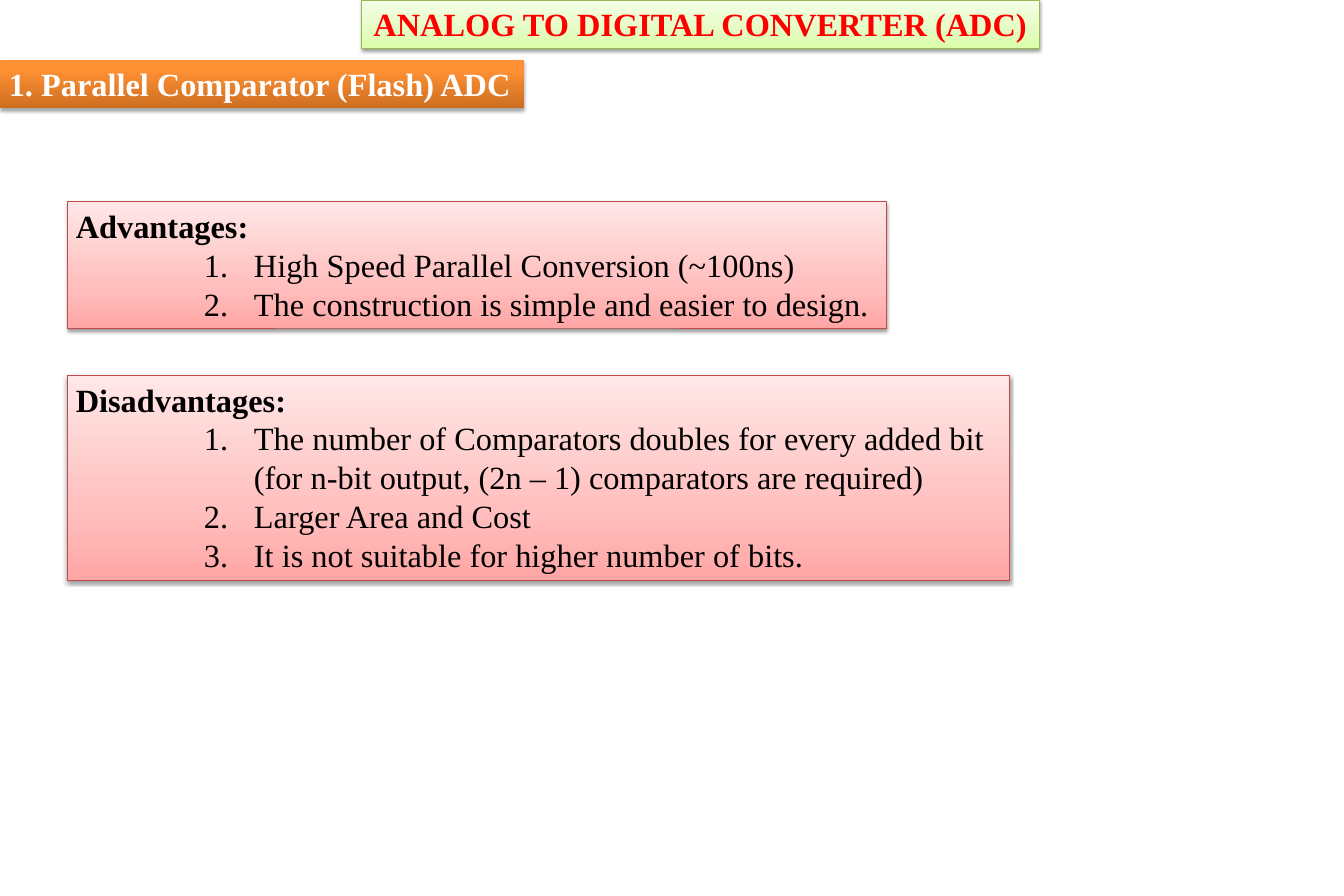
from lxml.etree import SubElement
from pptx import Presentation
from pptx.dml.color import RGBColor as Rgb
from pptx.enum.text import MSO_AUTO_SIZE as AutoSize, PP_ALIGN as Align
from pptx.oxml.ns import qn
from pptx.util import Cm, Pt

COLORS = {
    "title": "FF0000", "topic": "FFFFFF", "body": "000000", "shadow": "000000",
    "green_line": "98B955", "red_line": "BF4C48",
}
GRADIENTS = {
    "green": {0: "DAFDA7", 35: "E4FCC2", 100: "F5FFE7"},
    "orange": {0: "CC6E20", 80: "FF9034", 100: "FF9136"},
    "red": {0: "FFA6A5", 35: "FFC0BF", 100: "FFE7E7"},
}
ADVANTAGES = [
    "High Speed Parallel Conversion (~100ns)",
    "The construction is simple and easier to design.",
]
DISADVANTAGES = [
    "The number of Comparators doubles for every added bit"
    "\v(for n-bit output, (2n – 1) comparators are required)",
    "Larger Area and Cost",
    "It is not suitable for higher number of bits.",
]


def add_color(parent, color):
    """Append an RGB colour element and return it."""
    return SubElement(parent, qn("a:srgbClr"), val=color)


def add_panel(slide, box, gradient, line=None, shadow=(38, 1.6)):
    """Add a gradient text panel with a soft shadow and return its text frame."""
    panel = slide.shapes.add_textbox(*(Cm(length) for length in box))
    panel.fill.gradient()
    panel.fill.gradient_angle = 90
    stops = panel.fill._xPr.find(".//" + qn("a:gsLst"))
    stops.clear()
    for percent, color in GRADIENTS[gradient].items():
        add_color(SubElement(stops, qn("a:gs"), pos=str(percent * 1000)), color)

    if line:
        panel.line.color.rgb = Rgb.from_string(COLORS[line])
        panel.line.width = Pt(0.75)
    else:
        panel.line.fill.background()

    opacity, distance = shadow
    panel.shadow.inherit = False
    effects = panel.fill._xPr.find(qn("a:effectLst"))
    outer = SubElement(effects, qn("a:outerShdw"), blurRad=str(Pt(3.1)),
                       dist=str(Pt(distance)), dir="5400000", rotWithShape="0")
    SubElement(add_color(outer, COLORS["shadow"]), qn("a:alpha"), val=str(opacity * 1000))

    frame = panel.text_frame
    frame.word_wrap = False
    frame.auto_size = AutoSize.SHAPE_TO_FIT_TEXT
    return frame


def write(paragraph, text, color, bold=False):
    """Write a paragraph in the slide's typeface."""
    paragraph.text = text
    font = paragraph.font
    font.name, font.size, font.bold = "Times New Roman", Pt(26), bold
    font.color.rgb = Rgb.from_string(COLORS[color])


def add_title(slide, box):
    """Add the centred slide title."""
    heading = add_panel(slide, box, "green", "green_line").paragraphs[0]
    write(heading, "ANALOG TO DIGITAL CONVERTER (ADC)", "title", True)
    heading.alignment = Align.CENTER


def add_topic(slide, box):
    """Add the topic banner."""
    frame = add_panel(slide, box, "orange", shadow=(35, 1.8))
    write(frame.paragraphs[0], "1. Parallel Comparator (Flash) ADC", "topic", True)


def add_points(slide, box, heading, points):
    """Add a panel with a bold heading and a numbered list."""
    frame = add_panel(slide, box, "red", "red_line")
    write(frame.paragraphs[0], heading, "body", True)
    for point in points:
        item = frame.add_paragraph()
        item.level = 2
        write(item, point, "body")
        properties = item._p.get_or_add_pPr()
        properties.set("marL", str(Cm(5.05)))
        properties.set("indent", str(Cm(-1.42)))
        numbering = SubElement(properties, qn("a:buAutoNum"), type="arabicPeriod")
        properties.insert(0, numbering)


def main():
    """Build and save the slide."""
    deck = Presentation()
    deck.slide_width, deck.slide_height = Cm(38.1), Cm(25.4)
    slide = deck.slides.add_slide(deck.slide_layouts[6])
    add_title(slide, (10.26, 0, 19.2, 1.37))
    add_topic(slide, (0, 1.7, 14.86, 1.37))
    add_points(slide, (1.9, 5.72, 23.22, 3.58), "Advantages:", ADVANTAGES)
    add_points(slide, (1.9, 10.64, 26.72, 5.82), "Disadvantages:", DISADVANTAGES)
    deck.save("out.pptx")


if __name__ == "__main__":
    main()
